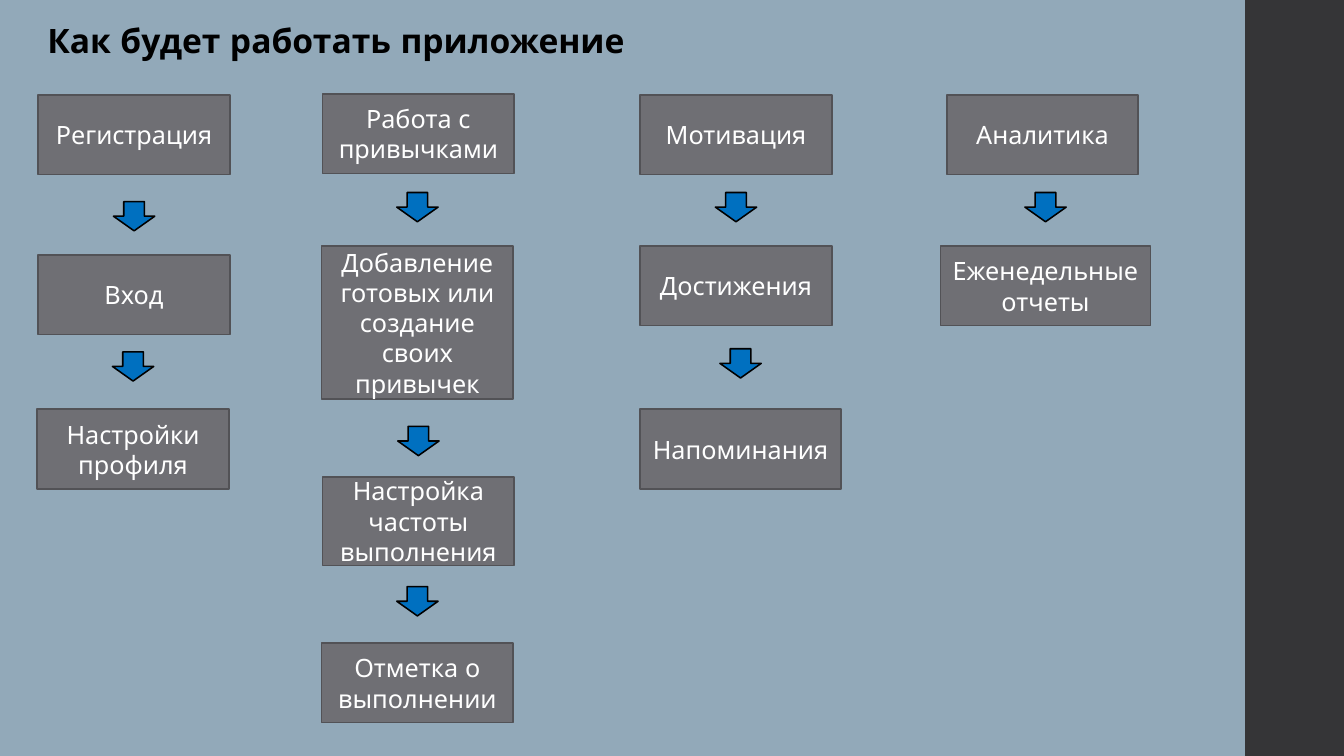
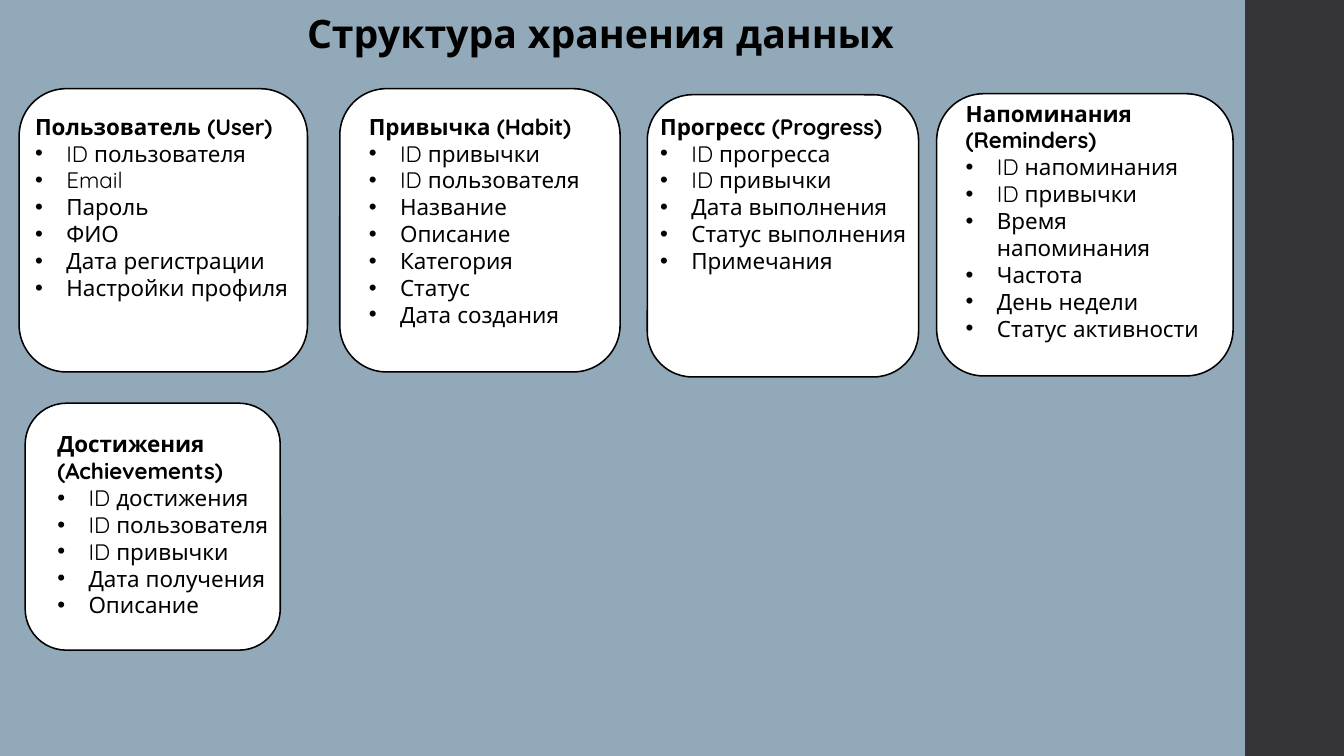
from lxml import etree
from pptx import Presentation
from pptx.dml.color import RGBColor
from pptx.enum.shapes import MSO_SHAPE
from pptx.enum.text import MSO_ANCHOR, MSO_AUTO_SIZE, PP_ALIGN
from pptx.oxml.ns import qn
from pptx.util import Inches, Pt

RECTANGLE = MSO_SHAPE.RECTANGLE
ROUNDED = MSO_SHAPE.ROUNDED_RECTANGLE
DOWN_ARROW = MSO_SHAPE.DOWN_ARROW
TOP, MIDDLE = MSO_ANCHOR.TOP, MSO_ANCHOR.MIDDLE
LEFT, CENTER = PP_ALIGN.LEFT, PP_ALIGN.CENTER
NO_AUTOFIT = MSO_AUTO_SIZE.NONE
TITLE_ONLY = 5

FONT = "Quicksand"
BACKGROUND, SIDE_BAND = "92A9B9", "353537"
STEP_FILL, STEP_LINE = "6F6F74", "525256"
ARROW_FILL = "0070C0"
BLACK, WHITE = "000000", "FFFFFF"

SLIDE_WIDTH, SLIDE_HEIGHT = 13.33, 7.5
BAND_LEFT = 12.35
STEP_WIDTH, STEP_HEIGHT = 1.9, 0.79
ARROW_WIDTH, ARROW_HEIGHT = 0.41, 0.29
BULLET_INDENT = 0.31

# Each column: steps as (text, left, top, width, height), then arrow tops
FLOW = [
    ([("Регистрация", 0.38, 0.94, STEP_WIDTH, STEP_HEIGHT),
      ("Вход", 0.38, 2.53, STEP_WIDTH, STEP_HEIGHT),
      ("Настройки профиля", 0.37, 4.06, STEP_WIDTH, STEP_HEIGHT)],
     [2, 3.49]),
    ([("Работа с привычками", 3.2, 0.93, STEP_WIDTH, STEP_HEIGHT),
      ("Добавление готовых или создание своих привычек",
       3.19, 2.44, STEP_WIDTH, 1.52),
      ("Настройка частоты выполнения", 3.2, 4.73, STEP_WIDTH, 0.88),
      ("Отметка о выполнении", 3.19, 6.38, STEP_WIDTH, STEP_HEIGHT)],
     [1.91, 4.23, 5.82]),
    ([("Мотивация", 6.35, 0.94, STEP_WIDTH, STEP_HEIGHT),
      ("Достижения", 6.35, 2.44, STEP_WIDTH, STEP_HEIGHT),
      ("Напоминания", 6.35, 4.06, 1.99, STEP_HEIGHT)],
     [1.91, 3.46]),
    ([("Аналитика", 9.39, 0.94, STEP_WIDTH, STEP_HEIGHT),
      ("Еженедельные отчеты", 9.33, 2.44, 2.08, STEP_HEIGHT)],
     [1.91]),
]

# Each entity: heading, fields, card bounds, text bounds
ENTITIES = [
    ("Пользователь (User)",
     ["ID пользователя", "Email", "Пароль", "ФИО", "Дата регистрации",
      "Настройки профиля"],
     (0.19, 0.88, 2.86, 2.81), (0.25, 1.07, 2.89, 1.99)),
    ("Привычка (Habit)",
     ["ID привычки", "ID пользователя", "Название", "Описание", "Категория",
      "Статус", "Дата создания"],
     (3.37, 0.88, 2.78, 2.81), (3.56, 1.07, 2.69, 2.32)),
    ("Прогресс (Progress)",
     ["ID прогресса", "ID привычки", "Дата выполнения", "Статус выполнения",
      "Примечания"],
     (6.42, 0.94, 2.69, 2.8), (6.45, 1.07, 2.76, 1.72)),
    ("Напоминания (Reminders)",
     ["ID напоминания", "ID привычки", "Время напоминания", "Частота",
      "День недели", "Статус активности"],
     (9.29, 0.93, 2.94, 2.8), (9.48, 0.94, 2.58, 2.52)),
    ("Достижения (Achievements)",
     ["ID достижения", "ID пользователя", "ID привычки", "Дата получения",
      "Описание"],
     (0.25, 4, 2.53, 2.45), (0.47, 4.22, 2.67, 2.02)),
]


def rgb(value):
    return RGBColor.from_string(value)


def inches(bounds):
    return [Inches(length) for length in bounds]


class Deck:
    """Shared style and the slide being built."""

    def __init__(self):
        self.prs = Presentation()
        self.prs.slide_width = Inches(SLIDE_WIDTH)
        self.prs.slide_height = Inches(SLIDE_HEIGHT)
        backdrop = self.prs.slide_master.background.fill
        backdrop.solid()
        backdrop.fore_color.rgb = rgb(BACKGROUND)
        self.slide = None

    def add_slide(self, title, bounds, size, align):
        layout = self.prs.slide_layouts[TITLE_ONLY]
        self.slide = self.prs.slides.add_slide(layout)
        heading = self.slide.shapes.title
        heading.left, heading.top, heading.width, heading.height = inches(bounds)
        frame = heading.text_frame
        frame.text = title
        frame.word_wrap = True
        frame.auto_size = NO_AUTOFIT
        frame.vertical_anchor = TOP
        self.style(frame.paragraphs[0], size, BLACK, align, bold=True)
        self.shape(RECTANGLE,
                   (BAND_LEFT, 0, SLIDE_WIDTH - BAND_LEFT, SLIDE_HEIGHT),
                   SIDE_BAND)

    def style(self, paragraph, size, color, align=LEFT, bold=False):
        paragraph.alignment = align
        font = paragraph.font
        font.name, font.size, font.bold = FONT, Pt(size), bold
        font.color.rgb = rgb(color)

    def shape(self, kind, bounds, fill, line=None):
        shape = self.slide.shapes.add_shape(kind, *inches(bounds))
        shape.shadow.inherit = False
        shape.fill.solid()
        shape.fill.fore_color.rgb = rgb(fill)
        if line:
            shape.line.color.rgb = rgb(line)
            shape.line.width = Pt(1.1)
        else:
            shape.line.fill.background()
        return shape

    def step(self, text, bounds):
        frame = self.shape(RECTANGLE, bounds, STEP_FILL, STEP_LINE).text_frame
        frame.text = text
        frame.word_wrap = True
        frame.vertical_anchor = MIDDLE
        self.style(frame.paragraphs[0], 18, WHITE, CENTER)

    def arrow(self, center, top):
        bounds = (center - ARROW_WIDTH / 2, top, ARROW_WIDTH, ARROW_HEIGHT)
        self.shape(DOWN_ARROW, bounds, ARROW_FILL, BLACK)

    def bullet(self, paragraph):
        props = paragraph._p.get_or_add_pPr()
        props.set("marL", str(Inches(BULLET_INDENT)))
        props.set("indent", str(-Inches(BULLET_INDENT)))
        etree.SubElement(props, qn("a:buFont")).set("typeface", "Arial")
        etree.SubElement(props, qn("a:buChar")).set("char", "•")

    def entity(self, heading, fields, card_bounds, text_bounds):
        self.shape(ROUNDED, card_bounds, WHITE, BLACK)
        frame = self.slide.shapes.add_textbox(*inches(text_bounds)).text_frame
        frame.word_wrap = True
        frame.text = heading
        self.style(frame.paragraphs[0], 16, BLACK, bold=True)
        for field in fields:
            paragraph = frame.add_paragraph()
            paragraph.text = field
            self.bullet(paragraph)
            self.style(paragraph, 16, BLACK)


def main():
    deck = Deck()

    deck.add_slide("Как будет работать приложение",
                   (0.37, 0.15, 6.26, 0.5), 24, LEFT)
    for steps, arrow_tops in FLOW:
        for text, *bounds in steps:
            deck.step(text, bounds)
        for (_, left, _, width, _), top in zip(steps[1:], arrow_tops):
            deck.arrow(left + width / 2, top)

    deck.add_slide("Структура хранения данных",
                   (2.87, 0.04, 6.17, 0.57), 28, CENTER)
    for entity in ENTITIES:
        deck.entity(*entity)

    deck.prs.save("out.pptx")


if __name__ == "__main__":
    main()
